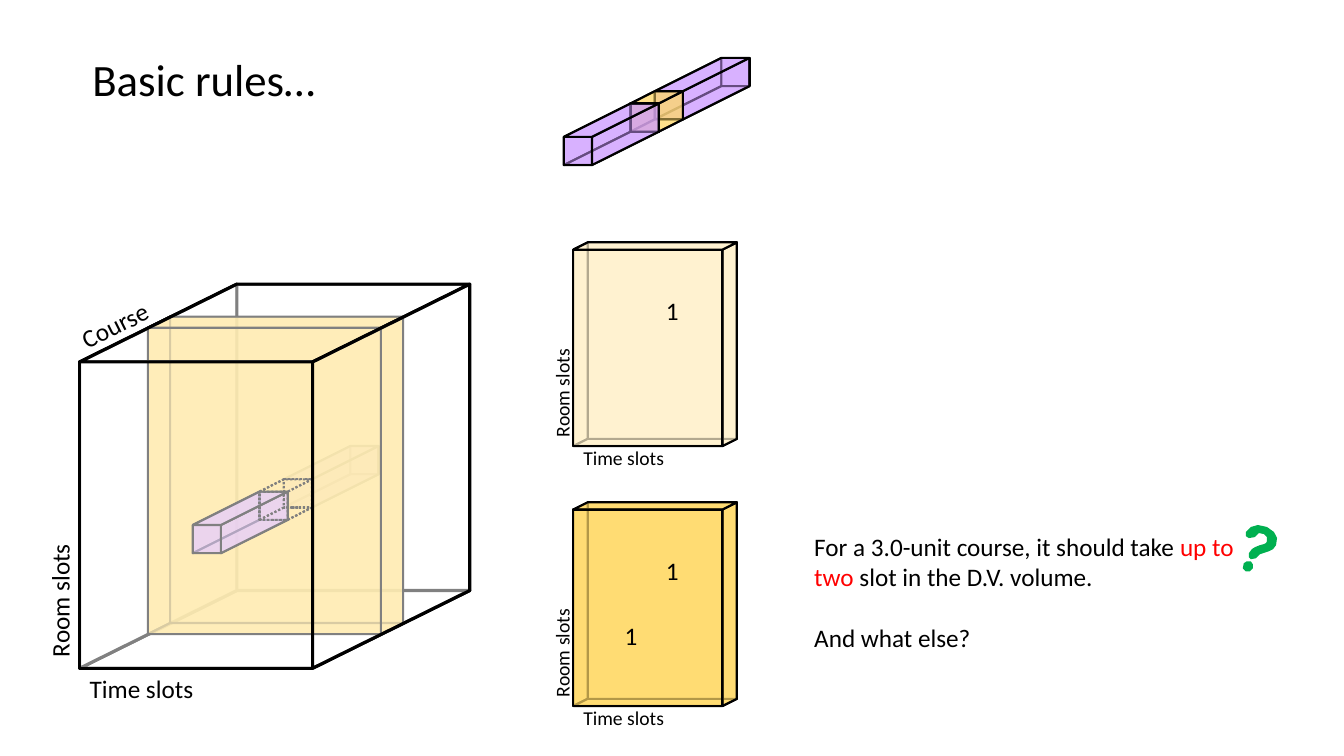
import pptx
import pptx.dml.color
import pptx.enum.dml
import pptx.enum.shapes
import pptx.enum.text
import pptx.oxml
import pptx.oxml.ns
import pptx.util

Cm = pptx.util.Cm
Pt = pptx.util.Pt
MSO_SHAPE = pptx.enum.shapes.MSO_SHAPE

BLACK, WHITE, RED, GREEN = "000000", "FFFFFF", "FF0000", "00B050"
PURPLE, GOLD, CREAM = "CC99FF", "FFD966", "FFF2CC"

BAR = 0.71
BAR_DEPTH = (1.68, 0.84)
GAP_DEPTH = (0.61, 0.31)
QUESTION_HOOK = [
    (24, 2), (31, 7), (34, 13), (33, 20), (30, 24), (26, 26), (20, 28), (17, 29),
    (16, 30), (15, 31), (13, 33), (8, 34), (6, 32), (6, 28), (9, 24), (12, 22),
    (17, 20), (21, 19), (23, 18), (24, 16), (24, 12), (21, 9), (16, 8), (12, 12),
    (6, 13), (3, 11), (3, 7), (8, 2), (15, 0),
]
QUESTION_DOT = [(8, 36), (10, 39), (10, 43), (7, 46), (3, 46), (0, 43), (1, 38), (4, 36)]


def rgb(value):
    return pptx.dml.color.RGBColor.from_string(value)


def set_fill(sp, color, opacity):
    if color is None:
        sp.fill.background()
        return
    sp.fill.solid()
    sp.fill.fore_color.rgb = rgb(color)
    clr = sp._element.spPr.find(".//" + pptx.oxml.ns.qn("a:srgbClr"))
    alpha = pptx.oxml.parse_xml(
        f'<a:alpha {pptx.oxml.ns.nsdecls("a")} val="{opacity * 1000}"/>')
    clr.append(alpha)


def add_face(grp, kind, x, y, w, h, adj=None, turned=False, color=None,
             opacity=100, width=1.5, dash=None):
    sp = grp.shapes.add_shape(kind, Cm(x), Cm(y), Cm(w), Cm(h))
    sp.shadow.inherit = False
    if adj is not None:
        sp.adjustments[0] = adj
    if turned:
        sp.rotation = 90
        sp._element.spPr.xfrm.set("flipH", "1")
    set_fill(sp, color, opacity)
    sp.line.color.rgb = rgb(BLACK)
    sp.line.width = Pt(width)
    if dash:
        sp.line.dash_style = dash


def add_cuboid(s, x, y, w, h, depth,
               faces=("back", "left", "bottom", "front", "right", "top"), **style):
    dx, dy = depth
    grp = s.shapes.add_group_shape()

    def panel(px, py):
        add_face(grp, MSO_SHAPE.RECTANGLE, px, py, w, h, **style)

    def level(py):
        add_face(grp, MSO_SHAPE.PARALLELOGRAM, x, py, w + dx, dy,
                 adj=dx / dy, **style)

    def side(px):
        length = h + dy
        add_face(grp, MSO_SHAPE.PARALLELOGRAM, px + (dx - length) / 2,
                 y - dy + (length - dx) / 2, length, dx,
                 adj=dy / min(length, dx), turned=True, **style)

    draw = {
        "back": lambda: panel(x + dx, y - dy),
        "front": lambda: panel(x, y),
        "left": lambda: side(x),
        "right": lambda: side(x + w),
        "bottom": lambda: level(y + h - dy),
        "top": lambda: level(y - dy),
    }
    for face in faces:
        draw[face]()


def add_text(s, text, x, y, w, h, size=18, rotation=0, space_before=0):
    paragraphs = [[(text, BLACK)]] if isinstance(text, str) else text
    sp = s.shapes.add_textbox(Cm(x), Cm(y), Cm(w), Cm(h))
    sp.rotation = rotation
    tf = sp.text_frame
    tf.word_wrap = True
    tf.auto_size = pptx.enum.text.MSO_AUTO_SIZE.SHAPE_TO_FIT_TEXT
    for i, runs in enumerate(paragraphs):
        p = tf.add_paragraph() if i else tf.paragraphs[0]
        if i:
            p.space_before = Pt(space_before)
        for words, color in runs:
            r = p.add_run()
            r.text = words
            r.font.size = Pt(size)
            r.font.name = "Calibri"
            r.font.color.rgb = rgb(color)


def add_bar(s, position, depth=BAR_DEPTH, **style):
    add_cuboid(s, *position, BAR, BAR, depth, **style)


def chain_positions(x, y):
    middle = (x + BAR_DEPTH[0], y - BAR_DEPTH[1])
    far = (middle[0] + GAP_DEPTH[0], middle[1] - GAP_DEPTH[1])
    return (x, y), middle, far


def add_sheet(s, x, y, color, ones):
    height = 4.95
    add_cuboid(s, x, y, 3.76, height, (0.36, 0.18), color=color, opacity=70)
    add_text(s, "Time slots", x, y + height - 0.13, 2.97, 0.84, size=14)
    add_text(s, "Room slots", x - 1.78, y + 3.07, 2.97, 0.84, size=14, rotation=270)
    for dx, dy in ones:
        add_text(s, "1", x + dx, y + dy, 0.89, 0.99)


def add_outline(s, points, x, y, color):
    builder = s.shapes.build_freeform(*points[0], scale=Cm(0.0254))
    builder.add_line_segments(points[1:], close=True)
    sp = builder.convert_to_shape(Cm(x), Cm(y))
    sp.shadow.inherit = False
    set_fill(sp, color, 100)
    sp.line.fill.background()


def add_volume(s):
    size = (2.01, 9.12, 5.87, 7.72, (3.96, 1.96))
    purple = {"color": PURPLE, "opacity": 50}
    near, middle, far = chain_positions(4.86, 13.23)
    add_cuboid(s, *size, faces=("back", "bottom", "left"),
               color=WHITE, opacity=70, width=2.25)
    add_text(s, "Time slots", 2.01, 16.84, 4.42, 1.02)
    add_text(s, "Room slots", -0.69, 14.1, 4.39, 1.02, rotation=270)
    add_text(s, "Course", 1.63, 7.37, 3.71, 0.84, rotation=333.3)
    add_bar(s, far, **purple)
    add_cuboid(s, 3.73, 8.26, 5.87, 7.72, (0.56, 0.28), color=GOLD, opacity=70)
    add_bar(s, near, **purple)
    add_bar(s, middle, GAP_DEPTH, dash=pptx.enum.dml.MSO_LINE.ROUND_DOT)
    add_cuboid(s, *size, faces=("front", "top", "right"),
               color=WHITE, opacity=50, width=2.25)


def add_course_bar(s):
    near, middle, far = chain_positions(14.21, 3.45)
    add_bar(s, far, color=PURPLE, opacity=50)
    add_bar(s, middle, GAP_DEPTH, color=GOLD, opacity=50)
    add_bar(s, near, color=PURPLE, opacity=50)


def main():
    prs = pptx.Presentation()
    prs.slide_width, prs.slide_height = Cm(33.87), Cm(19.05)
    s = prs.slides.add_slide(prs.slide_layouts[6])
    add_text(s, "Basic rules…", 2.08, 1.17, 11.51, 1.63, size=32)
    add_volume(s)
    add_sheet(s, 14.45, 6.29, CREAM, [(2.08, 1.02)])
    add_sheet(s, 14.45, 12.84, GOLD, [(2.08, 1.02), (1.04, 2.67)])
    add_course_bar(s)
    rules = [
        [("For a 3.0-unit course, it should take ", BLACK), ("up to two ", RED),
         ("slot in the D.V. volume.", BLACK)],
        [("And what else?", BLACK)],
    ]
    add_text(s, rules, 20.27, 13.26, 11.51, 3.33, space_before=22)
    for points in (QUESTION_HOOK, QUESTION_DOT):
        add_outline(s, points, 31.32, 13.23, GREEN)
    prs.save("out.pptx")


main()
